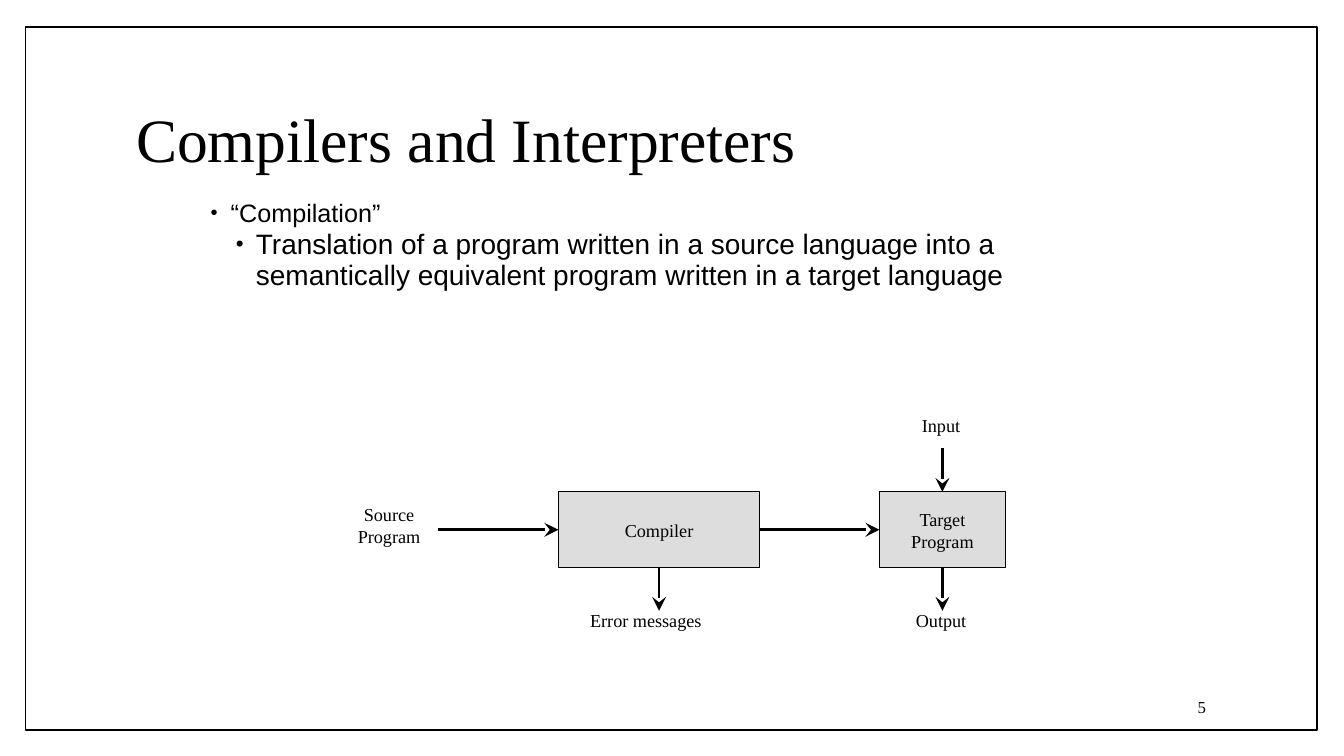
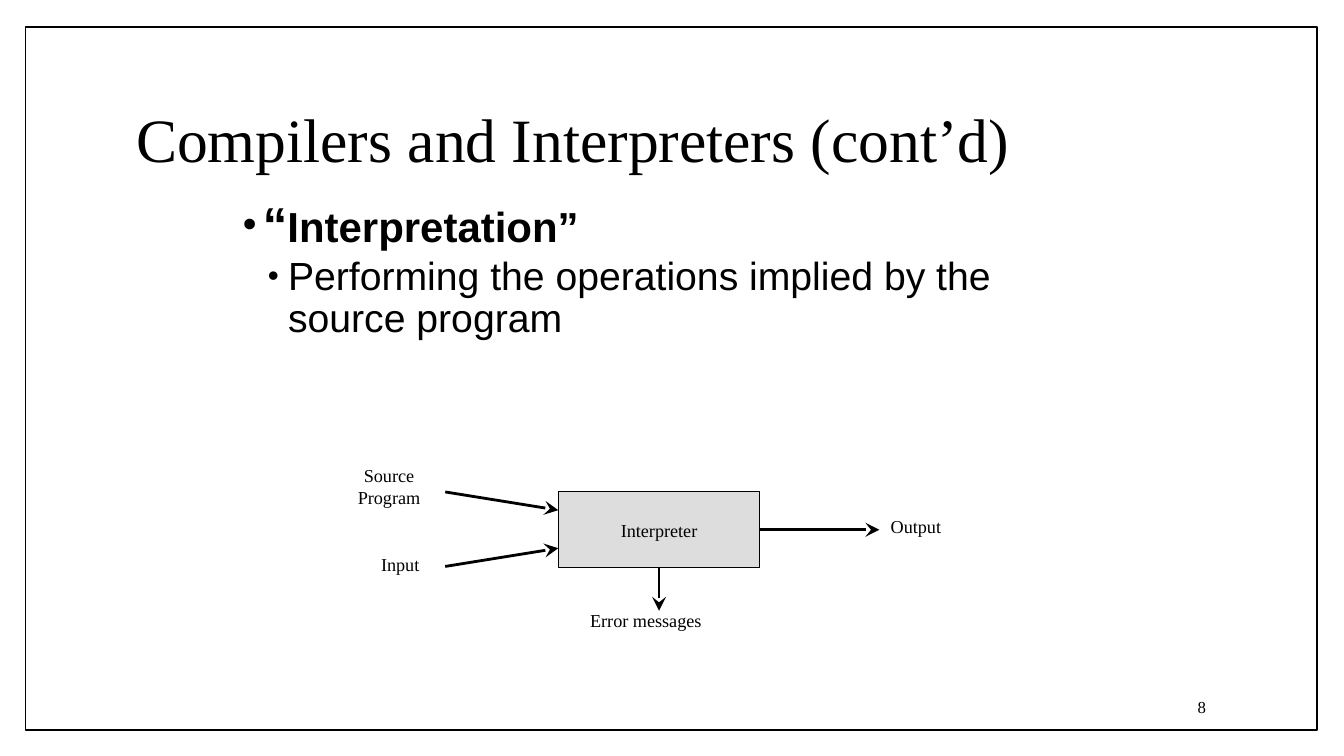
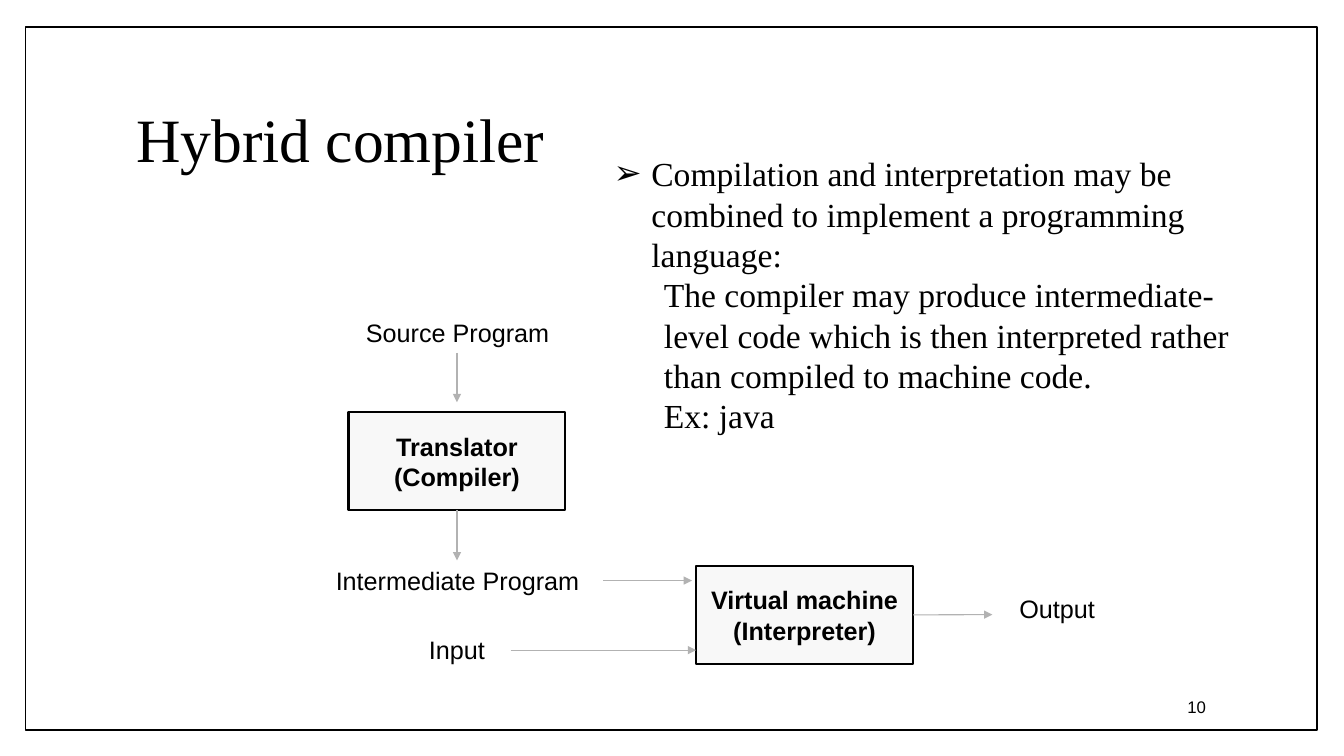
import pptx
import pptx.util
import pptx.dml.color
import pptx.enum.shapes
import pptx.enum.text
import pptx.oxml
import pptx.oxml.ns

Pt = pptx.util.Pt
RGB = pptx.dml.color.RGBColor.from_string
ALIGN = pptx.enum.text.PP_ALIGN
ANCHOR = pptx.enum.text.MSO_ANCHOR
FIT = pptx.enum.text.MSO_AUTO_SIZE
RECT = pptx.enum.shapes.MSO_SHAPE.RECTANGLE
LINE = pptx.enum.shapes.MSO_CONNECTOR.STRAIGHT

HUE = {"ink": "000000", "paper": "FFFFFF", "gray": "DDDDDD", "pale": "F8F8F8", "wire": "B2B2B2"}
SERIF, SANS = "Times New Roman", "Arial"
TITLE = {"name": SERIF, "size": Pt(44)}
SMALL = {"name": SERIF, "size": Pt(13)}
LARGE = {"name": SANS, "size": Pt(18)}
BOLD = {**LARGE, "bold": True}
DARK = {"text": SMALL, "head": SMALL, "fill": "gray", "edge": 0.75, "wire": "ink", "width": 2,
        "tip": {"type": "stealth", "w": "lg", "len": "lg"}, "wrap": False}
LIGHT = {"text": LARGE, "head": BOLD, "fill": "pale", "edge": 1.5, "wire": "wire", "width": 0.79,
         "tip": {"type": "triangle"}, "wrap": True}

# Paragraph formats: level, left indent, first-line indent, bullet and its size, spacing
DOT = {"level": 0, "left": 18, "hang": -14.4, "mark": "•", "scale": 80, "pitch": 0.9, "after": 0, "before": 0}
SUB = {**DOT, "level": 1, "left": 36, "before": 2, "after": 4}
ARROW = {**DOT, "level": 1, "left": 63, "hang": -27, "mark": "➢", "scale": 100, "pitch": 1.0}
PLAIN = {**ARROW, "level": 2, "left": 72, "hang": 0, "mark": None}
NOTE = {"name": SERIF, "size": Pt(24)}

SLIDES = [
    {"title": "Compilers and Interpreters", "page": "5", "face": SERIF, "style": DARK,
     "area": (139.7, 139.7, 618.5, 98),
     "body": [
         (DOT, [("“Compilation”", LARGE)]),
         (SUB, [("Translation of a program written in a source language into a "
                 "semantically equivalent program written in a target language",
                 {"name": SANS, "size": Pt(20)})])],
     "boxes": {"Compiler": (399, 351.4, 144, 54), "Target\nProgram": (628.5, 351.4, 90, 54)},
     "labels": [("Source\nProgram", 243, 355.7, 70), ("Input", 647.5, 292.3, 50),
                ("Error messages", 406.5, 432, 110), ("Output", 642.5, 432, 60)],
     "wires": [((313.2, 378.4), ("Compiler", 1)), (("Compiler", 2), (471, 436.3)),
               (("Compiler", 3), ("Target\nProgram", 1)),
               (("Target\nProgram", 2), (673.5, 436.3)), ((673.5, 319.7), ("Target\nProgram", 0))]},
    {"title": "Compilers and Interpreters (cont’d)", "page": "8", "face": SERIF, "style": DARK,
     "area": (162.7, 139.7, 601, 119),
     "body": [
         (DOT, [("“", {"name": SANS, "size": Pt(35), "bold": True}),
                ("Interpretation”", {"name": SANS, "size": Pt(30), "bold": True})]),
         (SUB, [("Performing the operations implied by the source program",
                 {"name": SANS, "size": Pt(28)})])],
     "boxes": {"Interpreter": (399, 351.4, 144, 54)},
     "labels": [("Source\nProgram", 243, 328.3, 70), ("Input", 261, 391.7, 50),
                ("Output", 624.5, 364.3, 60), ("Error messages", 406.5, 432, 110)],
     "wires": [((318.2, 351.4), (399, 364.4)), ((318.2, 404.6), (399, 391.6)),
               (("Interpreter", 3), (628.5, 378.4)), (("Interpreter", 2), (471, 436.3))]},
    {"title": "Hybrid compiler", "page": "10", "face": SANS, "style": LIGHT,
     "area": (395.3, 105.8, 504.7, 237.6),
     "body": [
         (ARROW, [("Compilation and interpretation may be combined to implement "
                   "a programming language:", NOTE)]),
         (PLAIN, [("The compiler may produce intermediate-level code which is then "
                   "interpreted rather than compiled to machine code.", NOTE)]),
         (PLAIN, [("Ex: java", NOTE)])],
     "boxes": {"Translator\n(Compiler)": (249.1, 294.5, 155, 70),
               "Virtual machine\n(Interpreter)": (497.5, 404, 155, 70.5)},
     "labels": [("Source Program", 247, 223.2, 160), ("Intermediate Program", 227, 400.3, 200),
                ("Input", 291.5, 449.3, 70), ("Output", 715.5, 420.5, 80)],
     "wires": [((326.6, 252), (326.6, 287.3)), (("Translator\n(Compiler)", 2), (326.6, 400.3)),
               ((431.3, 414.7), (494.6, 414.7)), ((365, 464.4), (497.5, 464.4)),
               (("Virtual machine\n(Interpreter)", 3), (709.2, 439))]},
]


def add_run(para, text, look):
    run = para.add_run()
    run.text = text
    for key, value in look.items():
        setattr(run.font, key, value)
    run.font.color.rgb = RGB(HUE["ink"])


def fill_text(shape, text, look, align, wrap, fit=FIT.NONE, anchor=ANCHOR.MIDDLE):
    """Write one paragraph for each line of text."""
    frame = shape.text_frame
    for key, value in {"word_wrap": wrap, "auto_size": fit, "vertical_anchor": anchor}.items():
        setattr(frame, key, value)
    for i, line in enumerate(text.split("\n")):
        para = frame.add_paragraph() if i else frame.paragraphs[0]
        para.alignment = align
        add_run(para, line, look)


deck = pptx.Presentation()
deck.slide_width, deck.slide_height = Pt(960.5), Pt(540)
layout = deck.slide_layouts[1]
for key, value in {"left": 90, "top": 48.2, "width": 777.6, "height": 106.6}.items():
    setattr(layout.placeholders[0], key, Pt(value))

for index, plan in enumerate(SLIDES):
    slide = deck.slides.add_slide(layout)
    shapes, style = slide.shapes, plan["style"]

    if index == 0:
        # The border belongs to the master, behind everything else
        border = shapes.add_shape(RECT, Pt(18.2), Pt(19.4), Pt(923), Pt(502))
        border.shadow.inherit = False
        border.fill.solid()
        border.fill.fore_color.rgb = RGB(HUE["paper"])
        border.line.color.rgb = RGB(HUE["ink"])
        border.line.width = Pt(1)
        border._element.nvSpPr.cNvPr.set("id", "99")
        deck.slide_master.shapes._spTree.insert(2, border._element)

    fill_text(shapes.title, plan["title"], TITLE, ALIGN.LEFT, True)
    shapes.title.text_frame.paragraphs[0].line_spacing = 0.9

    body = slide.placeholders[1]
    for key, value in zip(("left", "top", "width", "height"), plan["area"]):
        setattr(body, key, Pt(value))
    frame = body.text_frame
    frame.word_wrap, frame.auto_size = True, FIT.NONE
    for i, (form, runs) in enumerate(plan["body"]):
        para = frame.add_paragraph() if i else frame.paragraphs[0]
        para.level = form["level"]
        para.line_spacing = form["pitch"]
        para.space_before, para.space_after = Pt(form["before"]), Pt(form["after"])
        props = para._p.get_or_add_pPr()
        props.set("marL", str(Pt(form["left"])))
        props.set("indent", str(Pt(form["hang"])))
        if form["mark"]:
            tint = pptx.oxml.parse_xml(
                f'<a:buClr {pptx.oxml.ns.nsdecls("a")}><a:srgbClr val="{HUE["ink"]}"/></a:buClr>')
            size = props.makeelement(pptx.oxml.ns.qn("a:buSzPct"), {"val": str(form["scale"] * 1000)})
            mark = props.makeelement(pptx.oxml.ns.qn("a:buChar"), {"char": form["mark"]})
            props.extend([tint, size, mark])
        else:
            props.append(props.makeelement(pptx.oxml.ns.qn("a:buNone"), {}))
        for text, look in runs:
            add_run(para, text, look)

    page = shapes.add_textbox(Pt(734.4), Pt(490.3), Pt(134.6), Pt(28.8))
    fill_text(page, plan["page"], {"name": plan["face"], "size": Pt(12)}, ALIGN.RIGHT, True)

    boxes = {}
    for text, area in plan["boxes"].items():
        box = boxes[text] = shapes.add_shape(RECT, *map(Pt, area))
        box.shadow.inherit = False
        box.fill.solid()
        box.fill.fore_color.rgb = RGB(HUE[style["fill"]])
        box.line.color.rgb = RGB(HUE["ink"])
        box.line.width = Pt(style["edge"])
        fill_text(box, text, style["head"], ALIGN.CENTER, style["wrap"])

    for text, left, top, width in plan["labels"]:
        tall = 7.2 + 1.2 * style["text"]["size"].pt * len(text.split("\n"))
        label = shapes.add_textbox(Pt(left), Pt(top), Pt(width), Pt(tall))
        fill_text(label, text, style["text"], ALIGN.CENTER, False, FIT.NONE, ANCHOR.TOP)

    for start, end in plan["wires"]:
        spots = [(0, 0) if spot[0] in boxes else spot for spot in (start, end)]
        wire = shapes.add_connector(LINE, *(Pt(v) for spot in spots for v in spot))
        for spot, join in ((start, wire.begin_connect), (end, wire.end_connect)):
            if spot[0] in boxes:
                join(boxes[spot[0]], spot[1])
        wire.line.color.rgb = RGB(HUE[style["wire"]])
        wire.line.width = Pt(style["width"])
        stroke = wire.line._get_or_add_ln()
        stroke.append(stroke.makeelement(pptx.oxml.ns.qn("a:tailEnd"), style["tip"]))
        props = wire._element.spPr
        props.append(props.makeelement(pptx.oxml.ns.qn("a:effectLst"), {}))

deck.save("out.pptx")
